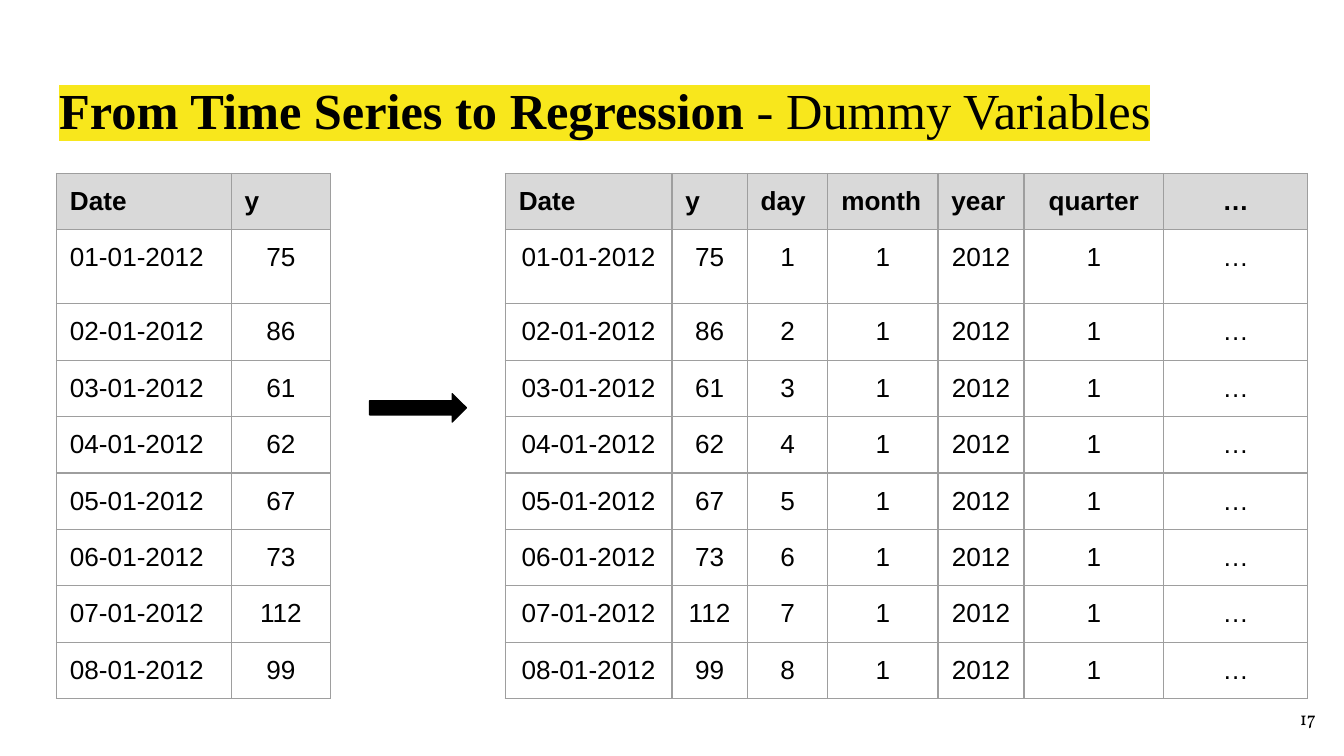
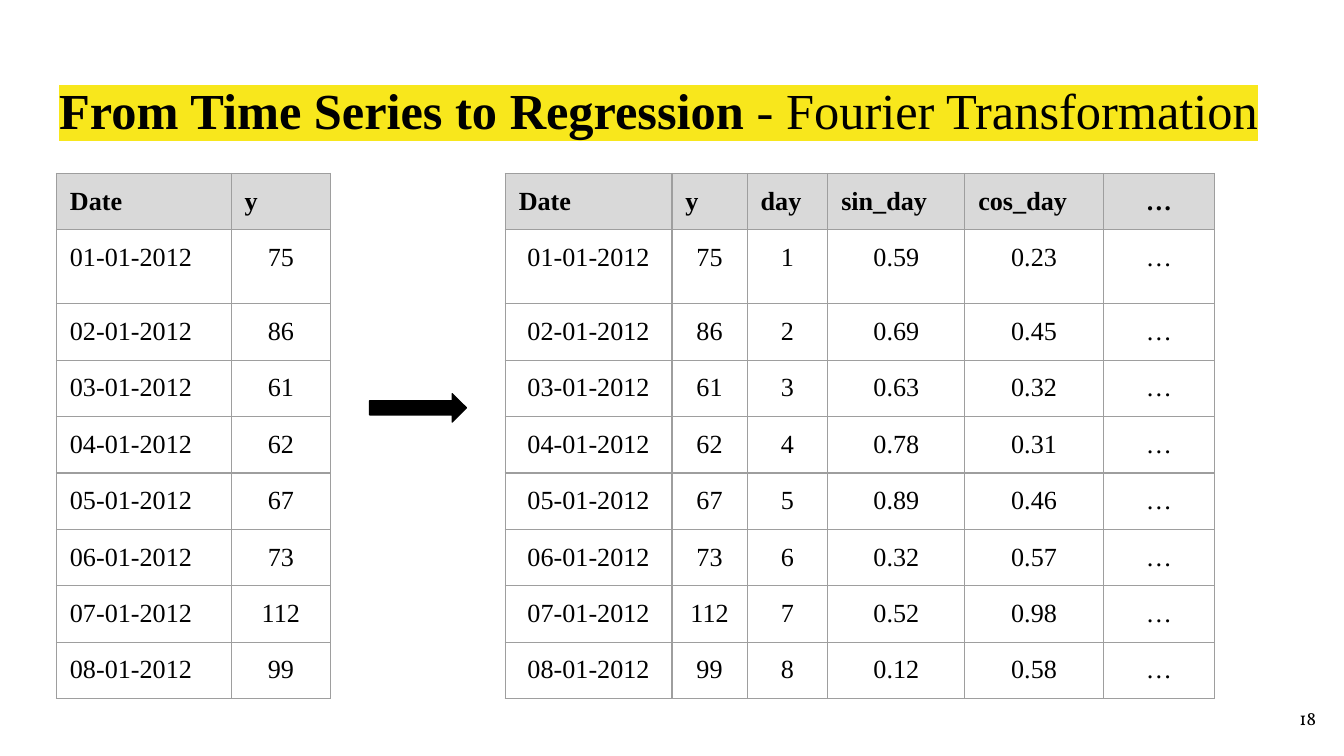
from pptx import Presentation
from pptx.dml.color import RGBColor
from pptx.enum.shapes import MSO_SHAPE as Shape
from pptx.enum.text import MSO_ANCHOR as Anchor, MSO_AUTO_SIZE as AutoSize, PP_ALIGN as Align
from pptx.oxml import parse_xml
from pptx.oxml.ns import nsdecls
from pptx.util import Inches, Pt

BLACK = RGBColor(0x00, 0x00, 0x00)
YELLOW = RGBColor(0xF8, 0xE7, 0x1C)
HEADER_GREY = RGBColor(0xD9, 0xD9, 0xD9)
BORDER_GREY = RGBColor(0x9E, 0x9E, 0x9E)

SERIF = "Times New Roman"
DATES = [f"{day:02}-01-2012" for day in range(1, 9)]
Y_VALUES = [75, 86, 61, 62, 67, 73, 112, 99]
DAYS = list(range(1, 9))
SIN_DAY = ["0.59", "0.69", "0.63", "0.78", "0.89", "0.32", "0.52", "0.12"]
COS_DAY = ["0.23", "0.45", "0.32", "0.31", "0.46", "0.57", "0.98", "0.58"]

# Each column: heading, width in inches, values
SERIES_COLUMNS = [("Date", 1.3, DATES), ("y", 0.74, Y_VALUES)]
SHARED_FEATURES = [("Date", 1.24, DATES), ("y", 0.56, Y_VALUES), ("day", 0.6, DAYS)]
SLIDES = [
    {
        "title": ("From Time Series to Regression", " - Dummy Variables"),
        "number": 17,
        "font": "Arial",
        "features": SHARED_FEATURES + [
            ("month", 0.82, [1] * 8),
            ("year", 0.64, [2012] * 8),
            ("quarter", 1.04, [1] * 8),
            ("…", 1.07, ["…"] * 8),
        ],
    },
    {
        "title": ("From Time Series to Regression ", "- Fourier Transformation"),
        "number": 18,
        "font": SERIF,
        "features": SHARED_FEATURES + [
            ("sin_day", 1.02, SIN_DAY),
            ("cos_day", 1.03, COS_DAY),
            ("…", 0.83, ["…"] * 8),
        ],
    },
]
CENTRED_HEADINGS = {"quarter", "…"}

SLIDE_WIDTH = Inches(10)
SLIDE_HEIGHT = SLIDE_WIDTH * 9 // 16
TABLE_TOP = 1.29
SERIES_LEFT, FEATURES_LEFT = 0.42, 3.76
ROW_HEIGHT, FIRST_DATA_ROW_HEIGHT = 0.42, 0.55
MARGINS = dict.fromkeys(
    ("margin_left", "margin_top", "margin_right", "margin_bottom"), Inches(0.1))


def set_all(target, **values):
    for name, value in values.items():
        setattr(target, name, value)


def add_run(paragraph, text, font_name, size, bold=False):
    run = paragraph.add_run()
    run.text = text
    set_all(run.font, name=font_name, size=Pt(size), bold=bold)
    run.font.color.rgb = BLACK
    return run


def highlight(run, color):
    """Mark the run's background; the mark has to follow the text fill."""
    mark = parse_xml(
        f'<a:highlight {nsdecls("a")}><a:srgbClr val="{color}"/></a:highlight>')
    run._r.rPr.find("{*}solidFill").addnext(mark)


def add_borders(cell):
    properties = cell._tc.get_or_add_tcPr()
    for side in "LRTB":
        properties.append(parse_xml(
            f'<a:ln{side} {nsdecls("a")} w="{Pt(0.75)}"><a:solidFill>'
            f'<a:srgbClr val="{BORDER_GREY}"/></a:solidFill></a:ln{side}>'))


def fill_cell(cell, text, font_name, align, is_header):
    set_all(cell, vertical_anchor=Anchor.TOP, **MARGINS)
    add_borders(cell)
    if is_header:
        cell.fill.solid()
        cell.fill.fore_color.rgb = HEADER_GREY
    else:
        cell.fill.background()
    paragraph = cell.text_frame.paragraphs[0]
    paragraph.alignment = align
    add_run(paragraph, str(text), font_name, 14, is_header)


def add_data_table(slide, left, columns, font_name, date_align):
    heights = [ROW_HEIGHT, FIRST_DATA_ROW_HEIGHT] + [ROW_HEIGHT] * (len(DATES) - 1)
    width = sum(column[1] for column in columns)
    table = slide.shapes.add_table(
        len(heights), len(columns), Inches(left), Inches(TABLE_TOP),
        Inches(width), Inches(sum(heights))).table
    set_all(table, first_row=False, horz_banding=False)
    for row, height in zip(table.rows, heights):
        row.height = Inches(height)
    for index, (heading, column_width, values) in enumerate(columns):
        table.columns[index].width = Inches(column_width)
        heading_align = Align.CENTER if heading in CENTRED_HEADINGS else Align.LEFT
        value_align = date_align if heading == "Date" else Align.CENTER
        fill_cell(table.cell(0, index), heading, font_name, heading_align, True)
        for row_index, value in enumerate(values, start=1):
            fill_cell(table.cell(row_index, index), value, font_name, value_align, False)


def add_title(slide, topic, method):
    title = slide.shapes.title
    set_all(title, left=Inches(0.34), top=Inches(0.49),
            width=Inches(9.32), height=Inches(0.63))
    set_all(title.text_frame, word_wrap=True, auto_size=AutoSize.NONE,
            vertical_anchor=Anchor.TOP, **MARGINS)
    paragraph = title.text_frame.paragraphs[0]
    paragraph.alignment = Align.LEFT
    for text, bold in ((topic, True), (method, False)):
        highlight(add_run(paragraph, text, SERIF, 27, bold), YELLOW)


def add_arrow(slide):
    arrow = slide.shapes.add_shape(
        Shape.RIGHT_ARROW, Inches(2.75), Inches(2.93), Inches(0.72), Inches(0.21))
    arrow.shadow.inherit = False
    arrow.fill.solid()
    arrow.fill.fore_color.rgb = BLACK
    arrow.line.color.rgb = BLACK
    arrow.line.width = Pt(0.75)


def add_page_number(slide, number):
    box = slide.shapes.add_textbox(
        Inches(9.29), Inches(5.13), Inches(0.6), Inches(0.43))
    set_all(box.text_frame, word_wrap=True, vertical_anchor=Anchor.MIDDLE, **MARGINS)
    paragraph = box.text_frame.paragraphs[0]
    paragraph.alignment = Align.RIGHT
    add_run(paragraph, str(number), "Vollkorn", 10)


def main():
    presentation = Presentation()
    set_all(presentation, slide_width=SLIDE_WIDTH, slide_height=SLIDE_HEIGHT)
    title_only = presentation.slide_layouts.get_by_name("Title Only")
    for content in SLIDES:
        slide = presentation.slides.add_slide(title_only)
        add_title(slide, *content["title"])
        add_data_table(slide, SERIES_LEFT, SERIES_COLUMNS, content["font"], Align.LEFT)
        add_data_table(slide, FEATURES_LEFT, content["features"], content["font"],
                       Align.CENTER)
        add_arrow(slide)
        add_page_number(slide, content["number"])
    presentation.save("out.pptx")


if __name__ == "__main__":
    main()
